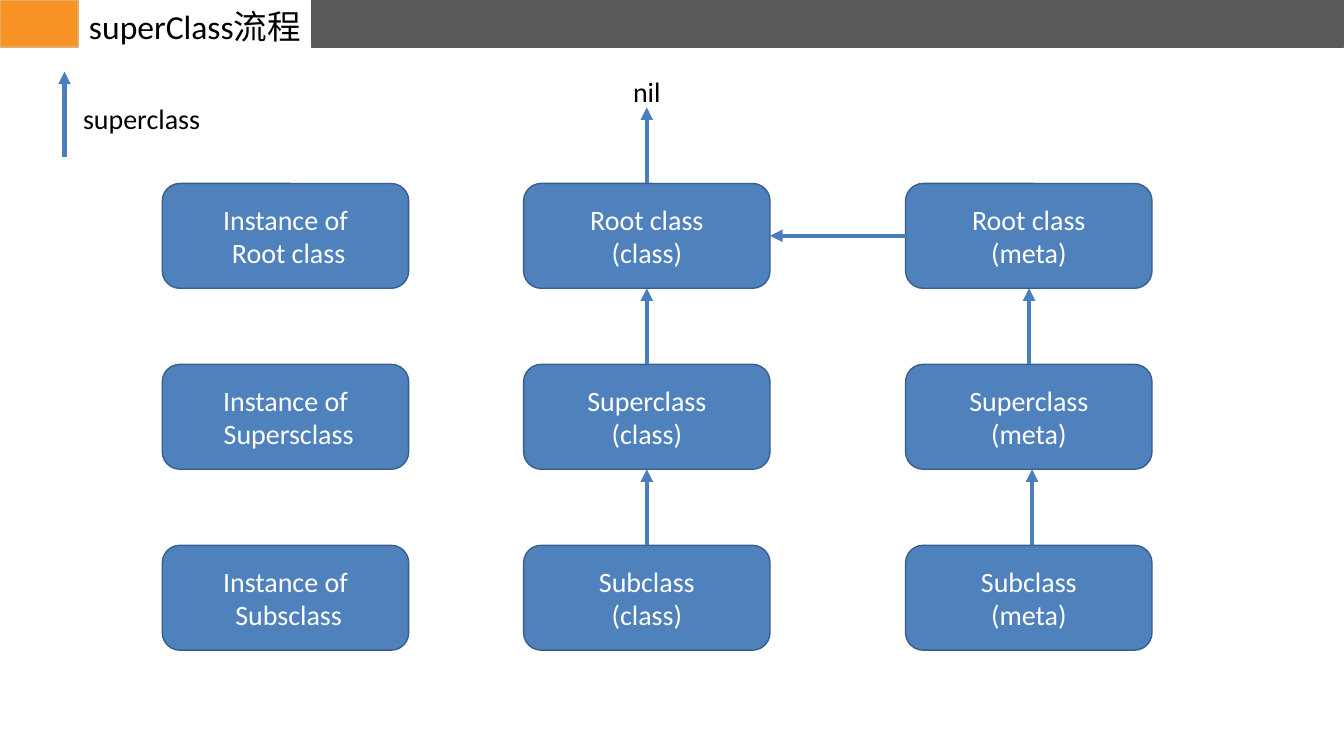
from pptx import Presentation
from pptx.dml.color import RGBColor
from pptx.enum.shapes import MSO_CONNECTOR as Connector, MSO_SHAPE as Shape
from pptx.enum.text import MSO_ANCHOR as Anchor, PP_ALIGN as Align
from pptx.oxml.ns import qn
from pptx.util import Inches, Pt
from lxml.etree import SubElement


def color(value):
    return RGBColor.from_string(value)


def write(frame, text, size=40, ink="000000", align=Align.LEFT, anchor=Anchor.TOP):
    frame.word_wrap = True
    frame.vertical_anchor = anchor
    for index, line in enumerate(text.split("\n")):
        para = frame.add_paragraph() if index else frame.paragraphs[0]
        para.alignment = align
        span = para.add_run()
        span.text = line
        span.font.name = "Calibri"
        span.font.size = Pt(size)
        span.font.color.rgb = color(ink)


class Diagram:
    node_fill, node_line, arrow_color = "4F81BD", "3A5F8C", "4B7EBC"

    def __init__(self, slide):
        self.shapes = slide.shapes

    def block(self, kind, left, top, width, height, fill, line):
        box = self.shapes.add_shape(kind, *map(Inches, (left, top, width, height)))
        box.shadow.inherit = False
        box.fill.solid()
        box.fill.fore_color.rgb = color(fill)
        box.line.color.rgb = color(line)
        box.line.width = Pt(2)
        return box

    def node(self, left, top, width, height, text):
        box = self.block(Shape.ROUNDED_RECTANGLE, left, top, width, height,
                         self.node_fill, self.node_line)
        write(box.text_frame, text, ink="FFFFFF", align=Align.CENTER, anchor=Anchor.MIDDLE)

    def label(self, left, top, width, height, text, **style):
        box = self.shapes.add_textbox(*map(Inches, (left, top, width, height)))
        write(box.text_frame, text, **style)

    def arrow(self, x1, y1, x2, y2):
        link = self.shapes.add_connector(Connector.STRAIGHT, *map(Inches, (x1, y1, x2, y2)))
        link.line.color.rgb = color(self.arrow_color)
        link.line.width = Pt(6)
        SubElement(link.line._get_or_add_ln(), qn("a:tailEnd"), type="triangle")
        SubElement(link._element.spPr, qn("a:effectLst"))


deck = Presentation()
deck.slide_width, deck.slide_height = Inches(26.67), Inches(15)
page = deck.slides.add_slide(deck.slide_layouts[6])
diagram = Diagram(page)

diagram.block(Shape.RECTANGLE, 6.18, 0, 20.48, 0.93, "595959", "595959")
diagram.block(Shape.RECTANGLE, 0, 0, 1.55, 0.93, "F79225", "E2AC64")
diagram.label(1.56, 0.06, 4.62, 0.91, "superClass流程", size=48,
              align=Align.CENTER, anchor=Anchor.MIDDLE)

node_width, node_height = 4.89, 2.08
first_top, row_step = 3.64, 3.59
arrow_length = row_step - node_height
columns = [
    (3.22, ["Instance of\n Root class", "Instance of\n Supersclass", "Instance of\n Subsclass"]),
    (10.39, ["Root class\n(class)", "Superclass\n(class)", "Subclass\n(class)"]),
    (17.97, ["Root class\n(meta)", "Superclass\n(meta)", "Subclass\n(meta)"]),
]
for left, names in columns:
    for row, name in enumerate(names):
        diagram.node(left, first_top + row * row_step, node_width, node_height, name)

class_left, meta_left = columns[1][0], columns[2][0]
class_center = class_left + node_width / 2
upward_arrows = [(class_center, 0), (class_center, 1), (class_center, 2), (20.42, 1), (20.48, 2)]
for x, row in upward_arrows:
    start = first_top + row * row_step
    diagram.arrow(x, start, x, start - arrow_length)

root_middle = first_top + node_height / 2
diagram.arrow(meta_left, root_middle, class_left + node_width, root_middle)
diagram.label(11.94, 1.42, 1.79, 0.77, "nil", align=Align.CENTER)

diagram.arrow(1.28, 3.11, 1.28, 1.42)
diagram.label(1.55, 1.97, 3.04, 0.77, "superclass")

deck.save("out.pptx")
